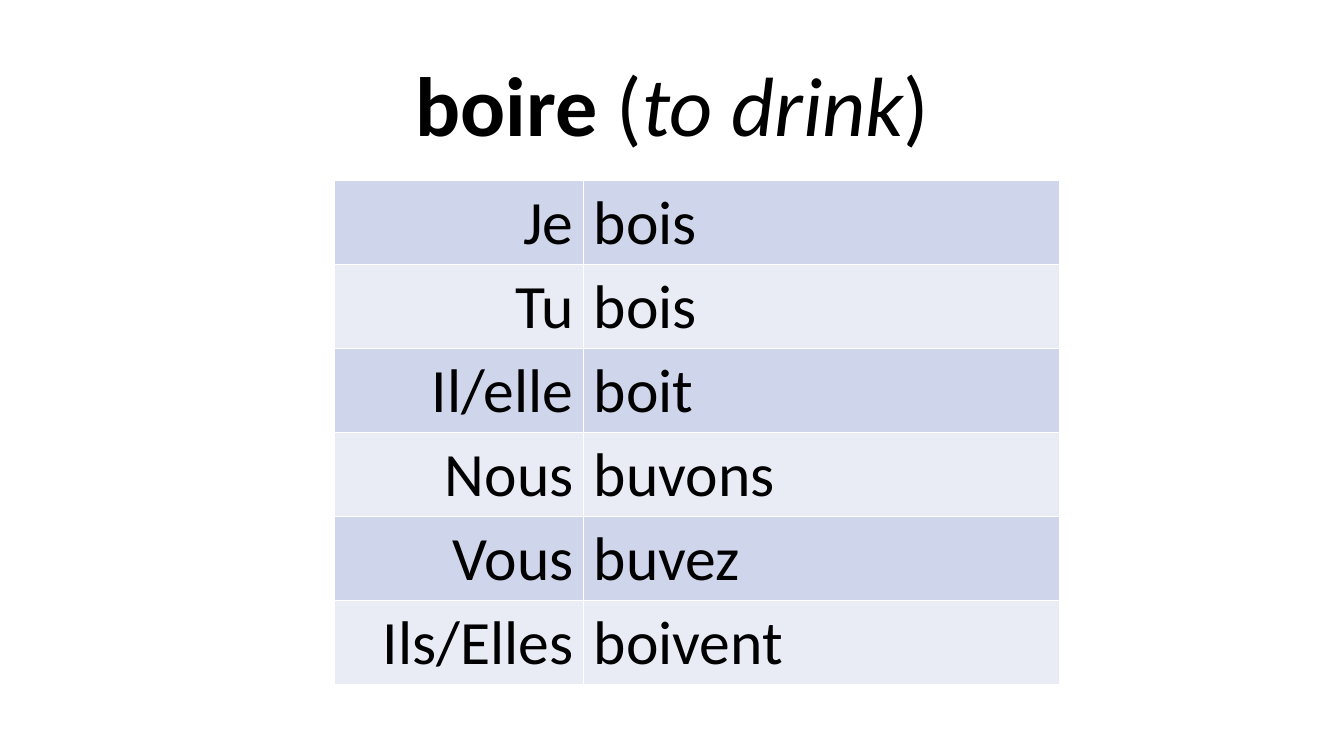
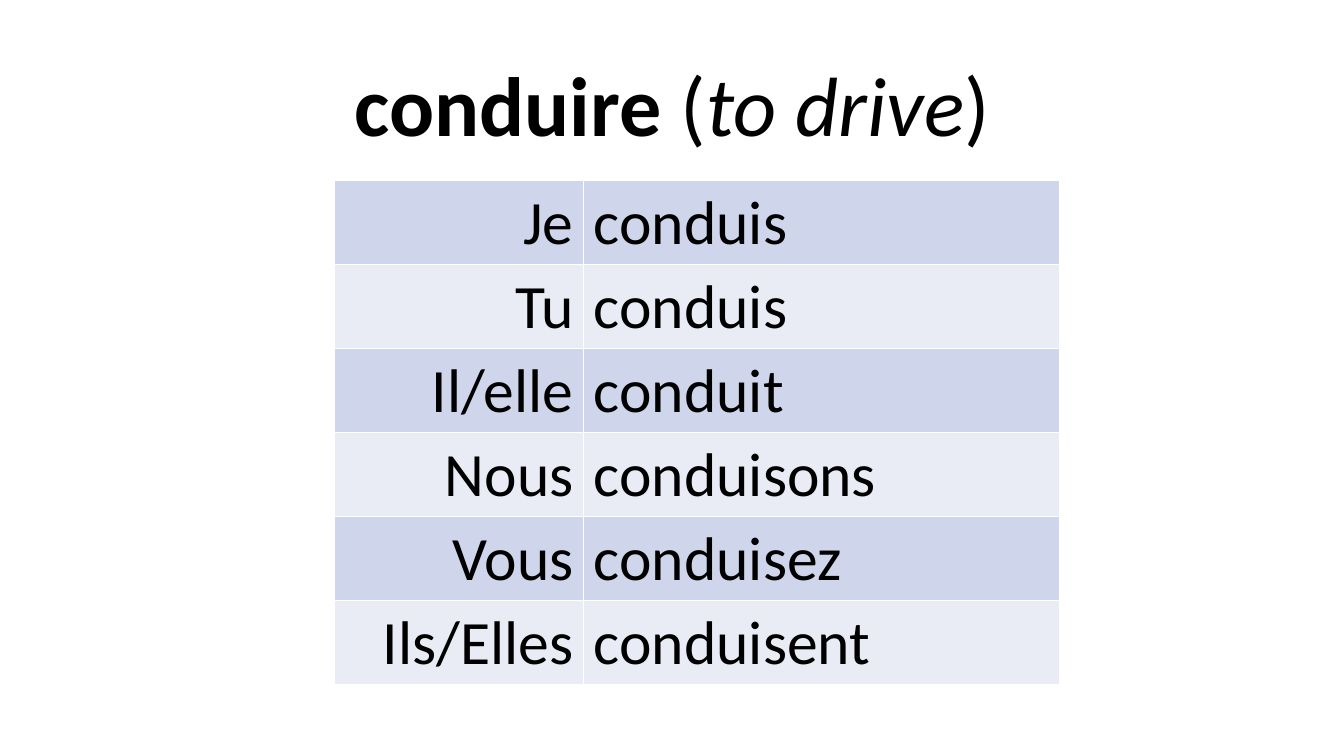
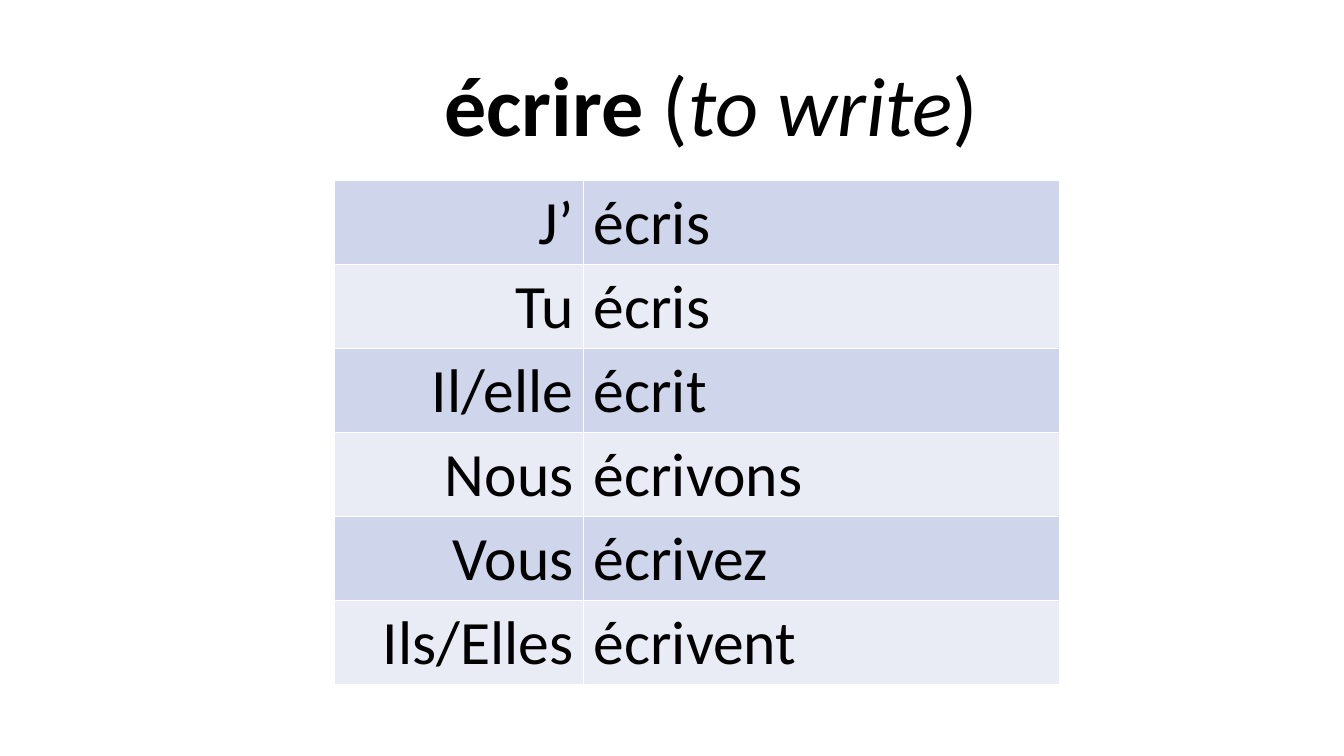
from lxml import etree
from pptx import Presentation
from pptx import util as u
from pptx.dml.color import RGBColor
from pptx.enum import text
from pptx.oxml import ns

hues = {"ink": "000000", "odd": "CFD5EA", "even": "E9EBF5", "edge": "FFFFFF"}
face = {"name": "Calibri"}
rest = ["Tu", "Il/elle", "Nous", "Vous", "Ils/Elles"]

# Verb, meaning, title width, first pronoun, forms
verbs = [
    ("boire", "to drink", 10, "Je",
     ["bois", "bois", "boit", "buvons", "buvez", "boivent"]),
    ("conduire", "to drive", 10, "Je",
     ["conduis", "conduis", "conduit", "conduisons", "conduisez", "conduisent"]),
    ("écrire", "to write", 10.77, "J’",
     ["écris", "écris", "écrit", "écrivons", "écrivez", "écrivent"]),
]


def write(para, words, **form):
    run = para.add_run()
    run.text = words
    for key, val in {**face, **form}.items():
        setattr(run.font, key, val)
    run.font.color.rgb = RGBColor.from_string(hues["ink"])


def edge(cell):
    props = cell._tc.get_or_add_tcPr()
    for side in ("lnL", "lnR", "lnT", "lnB"):
        line = etree.SubElement(props, ns.qn("a:" + side), w=str(u.Pt(1)))
        fill = etree.SubElement(line, ns.qn("a:solidFill"))
        etree.SubElement(fill, ns.qn("a:srgbClr"), val=hues["edge"])


deck = Presentation()
deck.slide_width, deck.slide_height = u.Inches(13.33), u.Inches(7.5)

for verb, sense, width, first, forms in verbs:
    slide = deck.slides.add_slide(deck.slide_layouts[6])

    # Title
    box = slide.shapes.add_textbox(
        u.Inches(1.67), u.Inches(0.44), u.Inches(width), u.Inches(1.14))
    frame = box.text_frame
    frame.word_wrap = True
    frame.vertical_anchor = text.MSO_ANCHOR.BOTTOM
    para = frame.paragraphs[0]
    para.alignment = text.PP_ALIGN.CENTER
    para.line_spacing = 0.9
    for words, form in ((verb, {"bold": True}), (" (", {}),
                        (sense, {"italic": True}), (")", {})):
        write(para, words, size=u.Pt(60), **form)

    # Conjugation table
    table = slide.shapes.add_table(
        len(forms), 2, u.Inches(3.32), u.Inches(1.79),
        u.Inches(7.19), u.Inches(5)).table
    table.first_row = table.horz_banding = False
    for col, size in zip(table.columns, (2.47, 4.72)):
        col.width = u.Inches(size)
    for row, pair in enumerate(zip([first] + rest, forms)):
        for col, words in enumerate(pair):
            cell = table.cell(row, col)
            edge(cell)
            cell.fill.solid()
            cell.fill.fore_color.rgb = RGBColor.from_string(
                hues["even" if row % 2 else "odd"])
            para = cell.text_frame.paragraphs[0]
            para.alignment = (text.PP_ALIGN.LEFT if col
                              else text.PP_ALIGN.RIGHT)
            write(para, words, size=u.Pt(44))

deck.save("out.pptx")
